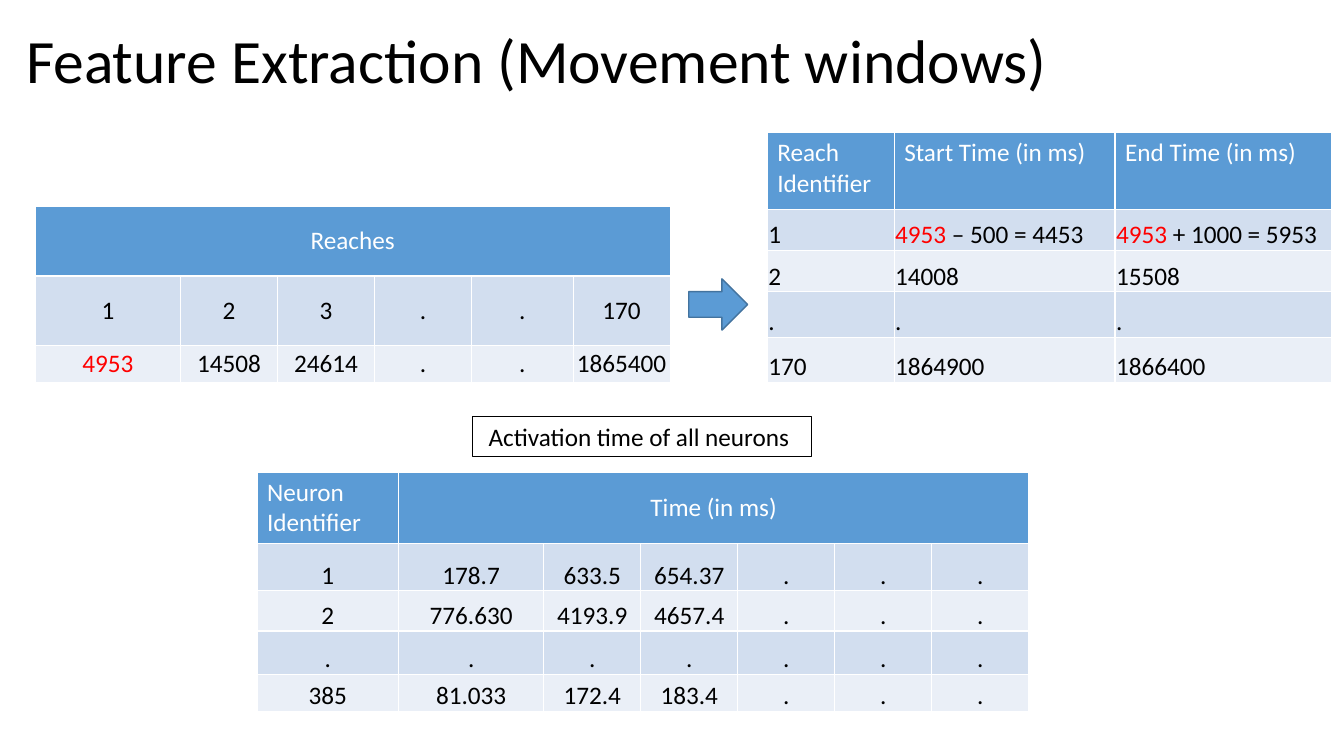
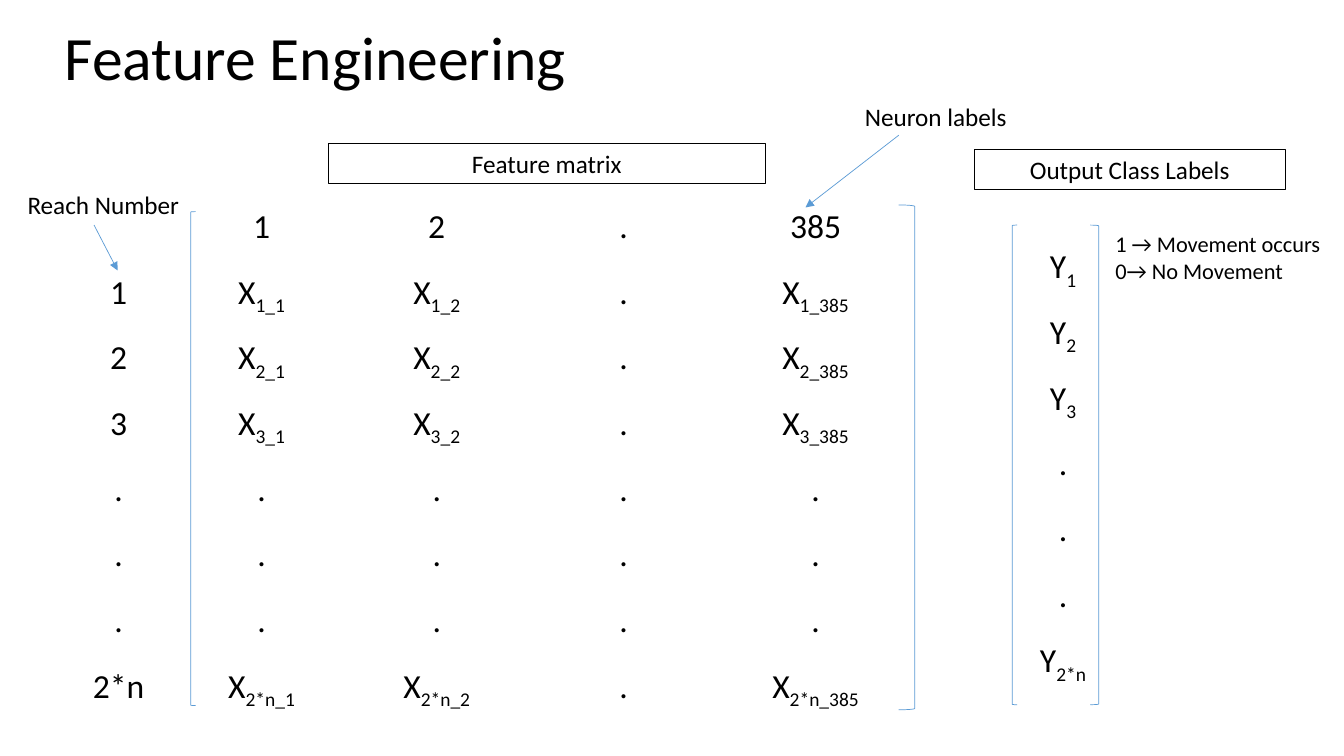
"""Two slides on extracting and engineering features from reach data."""
from pptx import Presentation
from pptx.dml.color import RGBColor
from pptx.enum.shapes import MSO_CONNECTOR, MSO_SHAPE
from pptx.enum.text import MSO_ANCHOR, MSO_AUTO_SIZE, PP_ALIGN
from pptx.oxml.ns import qn
from pptx.util import Emu, Inches, Pt
from lxml import etree

LEFT, CENTER = PP_ALIGN.LEFT, PP_ALIGN.CENTER
TOP, MIDDLE, BOTTOM = MSO_ANCHOR.TOP, MSO_ANCHOR.MIDDLE, MSO_ANCHOR.BOTTOM
OPEN, CLOSE = MSO_SHAPE.LEFT_BRACKET, MSO_SHAPE.RIGHT_BRACKET
ARROW, RECT = MSO_SHAPE.RIGHT_ARROW, MSO_SHAPE.RECTANGLE
LINE = MSO_CONNECTOR.STRAIGHT
FONT = "Calibri"
HEX = {"blue": "5B9BD5", "edge": "43739E", "odd": "D2DEEF", "even": "EAEFF7",
       "red": "FF0000", "black": "000000", "white": "FFFFFF"}
RGB = {name: RGBColor.from_string(code) for name, code in HEX.items()}
COLS, ROWS = 160, 90
CELL = Inches(1) // 12
MARK = "4953"


def grid(*cells):
    """Turn grid cells into lengths."""
    return [Emu(int(n * CELL)) for n in cells]


def put(frame, text, size, color="black", align=CENTER):
    """Write lines; the part after ~ is a subscript and the marked time is red."""
    for i, line in enumerate(text.split("\n")):
        para = frame.add_paragraph() if i else frame.paragraphs[0]
        para.alignment = align
        font = para.font
        font.name, font.size, font.bold = FONT, Pt(size), False
        font.color.rgb = RGB[color]
        if line.startswith(MARK):
            run = para.add_run()
            run.text = MARK
            run.font.color.rgb = RGB["red"]
            line = line[len(MARK):]
        base, _, sub = line.partition("~")
        if base:
            para.add_run().text = base
        if sub:
            run = para.add_run()
            run.text = sub
            run._r.get_or_add_rPr().set("baseline", "-25000")


deck = Presentation()
deck.slide_width, deck.slide_height = grid(COLS, ROWS)

pages = []
for text, left, top in [("Feature Extraction (Movement windows)", 1.9, 2.4),
                        ("Feature Engineering", 6.5, 2)]:
    page = deck.slides.add_slide(deck.slide_layouts[5])
    title = page.shapes.title
    title.left, title.top, title.width, title.height = grid(left, top, 138, 10.4)
    frame = title.text_frame
    frame.auto_size, frame.vertical_anchor = MSO_AUTO_SIZE.NONE, MIDDLE
    put(frame, text, 44, align=LEFT)
    frame.paragraphs[0].line_spacing = 0.9
    pages.append(page)
first, second = pages

reach = [["Reaches"],
         ["1", "2", "3", ".", ".", "170"],
         [MARK, "14508", "24614", ".", ".", "1865400"]]
times = [["Reach Identifier", "Start Time (in ms)", "End Time (in ms)"],
         ["1", "4953 – 500 = 4453", "4953 + 1000 = 5953"],
         ["2", "14008", "15508"],
         ["."] * 3,
         ["170", "1864900", "1866400"]]
spikes = [["Neuron Identifier", "Time (in ms)"],
          ["1", "178.7", "633.5", "654.37"] + ["."] * 3,
          ["2", "776.630", "4193.9", "4657.4"] + ["."] * 3,
          ["."] * 7,
          ["385", "81.033", "172.4", "183.4"] + ["."] * 3]
labels = ["1", "2", "3", ".", ".", ".", "2*n"]
matrix = [["", "1", "2", ".", "385"]]
output = []
for n in labels:
    dot = n == "."
    matrix.append([n] + ["." if dot or k == "." else f"X~{n}_{k}"
                         for k in ("1", "2", ".", "385")])
    output.append(["." if dot else f"Y~{n}"])

for page, data, left, top, wide, high, align, anchor in [
        (first, reach, 4.2, 24.6, [17.3] + [11.55] * 3 + [12.1, 11.55],
         [8.25, 8.25, 4.4], CENTER, MIDDLE),
        (first, times, 91.35, 15.8, [15.1, 26.3, 25.8],
         [9.15, 4.9, 4.9, 5.4, 5.4], LEFT, BOTTOM),
        (first, spikes, 30.6, 56.2, [16.85, 17.3] + [11.55] * 5,
         [8.3, 5.6, 4.8, 5.2, 4.4], CENTER, BOTTOM),
        (second, matrix, 6.5, 24, [15.25, 18.8, 22.9, 21.6, 24.1],
         [7.82] * 8, CENTER, TOP),
        (second, output, 121.45, 28.8, [10.2], [7.82] * 7, CENTER, TOP)]:
    plain = page is second
    table = page.shapes.add_table(len(high), len(wide),
                                  *grid(left, top, sum(wide), sum(high))).table
    table.first_row = not plain
    table.horz_banding = not plain
    for col, width in zip(table.columns, grid(*wide)):
        col.width = width
    for row, height in zip(table.rows, grid(*high)):
        row.height = height
    if len(data[0]) < len(wide):
        table.cell(0, len(data[0]) - 1).merge(table.cell(0, len(wide) - 1))
    for r, words in enumerate(data):
        for c, word in enumerate(words):
            cell = table.cell(r, c)
            head = not (plain or r)
            if plain:
                cell.fill.background()
            else:
                cell.fill.solid()
                band = "odd" if r % 2 else "even"
                cell.fill.fore_color.rgb = RGB["blue" if head else band]
            if head:
                span = cell.is_merge_origin
                cell.vertical_anchor = MIDDLE if span else TOP
                put(cell.text_frame, word, 18, "white", CENTER if span else LEFT)
                continue
            cell.vertical_anchor = anchor
            if not plain:
                cell.margin_left = cell.margin_right = cell.margin_top = Inches(0.01)
                cell.margin_bottom = 0
            if word:
                put(cell.text_frame, word, 24 if plain else 18, align=align)

for page, kind, place, color, weight in [
        (first, ARROW, (82, 33.2, 7, 6.1), "edge", 1),
        (second, OPEN, (22.7, 25.2, 0.6, 58.8), "blue", 0.5),
        (second, CLOSE, (107, 24.4, 1.9, 60.1), "blue", 0.5),
        (second, OPEN, (120.5, 26.8, 0.6, 57.1), "blue", 0.5),
        (second, CLOSE, (129.8, 26.8, 1, 57.1), "blue", 0.5)]:
    shape = page.shapes.add_shape(kind, *grid(*place))
    shape.shadow.inherit = False
    shape.line.color.rgb, shape.line.width = RGB[color], Pt(weight)
    if kind == ARROW:
        shape.fill.solid()
        shape.fill.fore_color.rgb = RGB["blue"]
    else:
        shape.fill.background()

for page, text, place, size, align, weight in [
        (first, "Activation time of all neurons ", (56.2, 49.6, 40.4, 4.8), 18, CENTER, 0.75),
        (second, "Feature matrix", (39.1, 17.05, 52, 4.8), 18, CENTER, 0.25),
        (second, "Output Class Labels", (116, 17.75, 37, 4.8), 18, CENTER, 0.25),
        (second, "1 → Movement occurs\n0→ No Movement", (131.6, 26.8, 28.4, 7.7), 16, LEFT, 0),
        (second, "Neuron labels", (99.1, 11.5, 24.6, 4.8), 18, CENTER, 0),
        (second, "Reach Number", (0, 22, 24.6, 4.8), 18, CENTER, 0)]:
    if weight:
        label = page.shapes.add_shape(RECT, *grid(*place))
        label.shadow.inherit = False
        label.fill.background()
        label.line.color.rgb, label.line.width = RGB["black"], Pt(weight)
    else:
        label = page.shapes.add_textbox(*grid(*place))
    label.text_frame.word_wrap = True
    label.text_frame.vertical_anchor = TOP
    put(label.text_frame, text, size, align=align)

for ends in [(107, 16.1, 95.9, 24.7), (11.2, 26.8, 14, 32.2)]:
    link = second.shapes.add_connector(LINE, *grid(*ends))
    link.line.color.rgb, link.line.width = RGB["blue"], Pt(0.5)
    etree.SubElement(link.line._get_or_add_ln(), qn("a:tailEnd"), type="triangle")
    etree.SubElement(link._element.spPr, qn("a:effectLst"))

deck.save("out.pptx")
